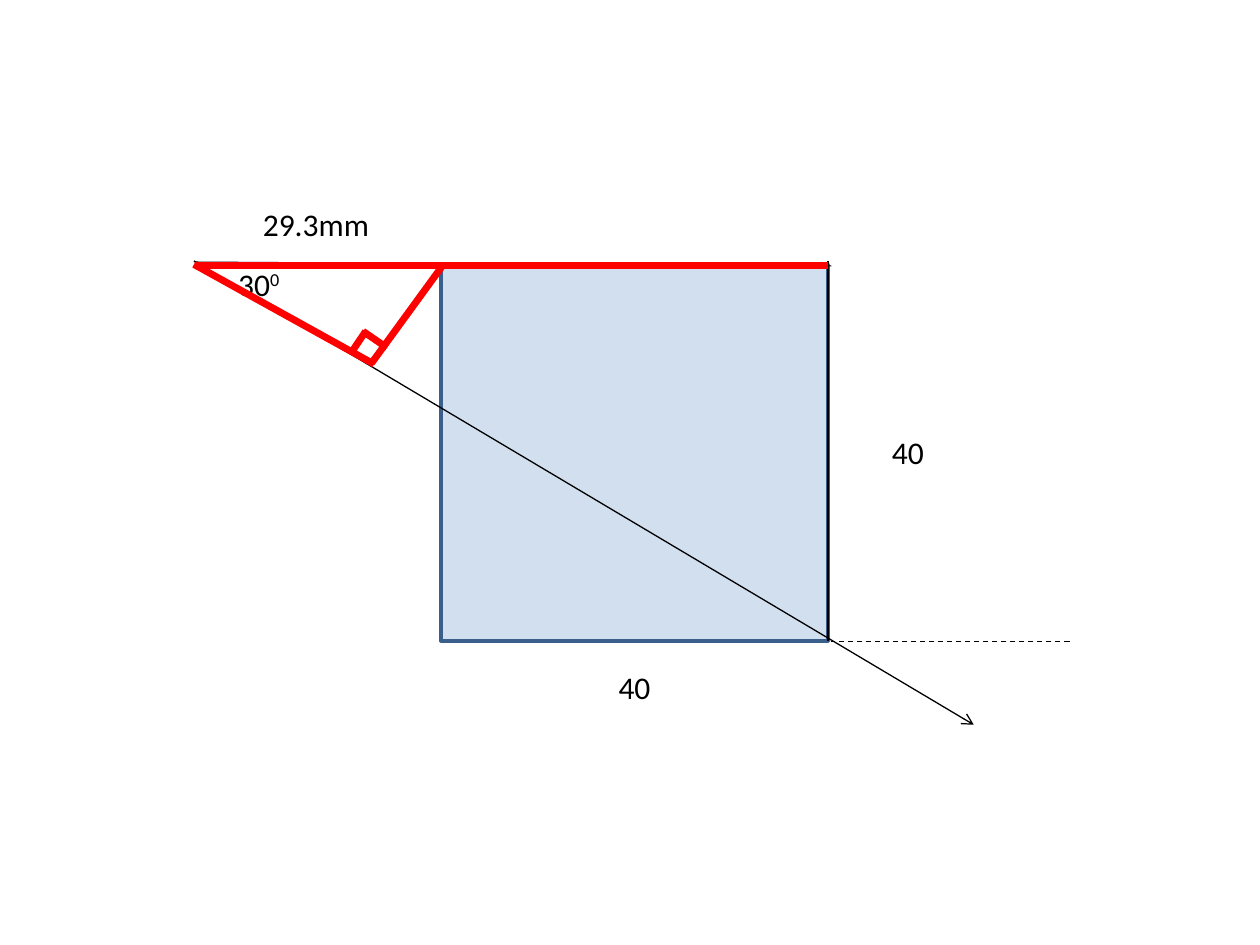
from dataclasses import dataclass

from lxml.etree import SubElement
from pptx import Presentation
from pptx.dml.color import RGBColor
from pptx.enum.dml import MSO_LINE
from pptx.enum.shapes import MSO_CONNECTOR, MSO_SHAPE
from pptx.enum.text import MSO_AUTO_SIZE
from pptx.oxml.ns import qn
from pptx.util import Cm, Pt


@dataclass(frozen=True)
class Theme:
    """Colours, font and sizes of the diagram."""
    ink: RGBColor = RGBColor(0x00, 0x00, 0x00)
    highlight: RGBColor = RGBColor(0xFF, 0x00, 0x00)
    square_fill: RGBColor = RGBColor(0x4F, 0x81, 0xBD)
    square_edge: RGBColor = RGBColor(0x3A, 0x5F, 0x8C)
    square_opacity: int = 25
    font: str = "Calibri"
    label_size: Pt = Pt(18)
    hairline: Pt = Pt(0.5)
    thin: Pt = Pt(0.75)
    edge: Pt = Pt(2)
    bold: Pt = Pt(4)


THEME = Theme()


def add_line(slide, origin, start, end, color=THEME.ink, width=THEME.thin):
    """Draw a straight line between two points in cm from the origin."""
    left, top = origin
    line = slide.shapes.add_connector(
        MSO_CONNECTOR.STRAIGHT,
        Cm(left + start[0]), Cm(top + start[1]),
        Cm(left + end[0]), Cm(top + end[1]))
    line.line.color.rgb = color
    line.line.width = width
    SubElement(line._element.spPr, qn("a:effectLst"))
    return line


def add_label(slide, origin, offset, width, text, superscript=""):
    """Write a one-line label, with an optional raised ending."""
    label = slide.shapes.add_textbox(
        Cm(origin[0] + offset[0]), Cm(origin[1] + offset[1]), Cm(width), Cm(1.02))
    frame = label.text_frame
    frame.word_wrap = False
    frame.auto_size = MSO_AUTO_SIZE.SHAPE_TO_FIT_TEXT
    paragraph = frame.paragraphs[0]
    paragraph.font.name = THEME.font
    paragraph.font.size = THEME.label_size
    paragraph.font.color.rgb = THEME.ink
    paragraph.add_run().text = text
    if superscript:
        raised = paragraph.add_run()
        raised.text = superscript
        raised.font._element.set("baseline", "30000")


def draw_square(slide, origin):
    """Draw the translucent square with its right side and two lengths."""
    left, top = origin
    square = slide.shapes.add_shape(
        MSO_SHAPE.RECTANGLE, Cm(left + 4.98), Cm(top - 0.03), Cm(7.8), Cm(7.59))
    square.shadow.inherit = False
    square.fill.solid()
    square.fill.fore_color.rgb = THEME.square_fill
    color = square._element.spPr.find(qn("a:solidFill"))[0]
    SubElement(color, qn("a:alpha"), val=str(THEME.square_opacity * 1000))
    square.line.color.rgb = THEME.square_edge
    square.line.width = THEME.edge
    add_line(slide, origin, (12.78, -0.1), (12.78, 7.57))
    add_label(slide, origin, (8.31, 7.98), 1.17, "40")
    add_label(slide, origin, (13.82, 3.25), 1.17, "40")


def draw_rays(slide, origin):
    """Draw the horizontal guides and the arrow through the far corner."""
    add_line(slide, origin, (12.85, 0), (0, -0.08), width=THEME.hairline)
    ray = add_line(slide, origin, (0, -0.1), (15.72, 9.25))
    SubElement(ray.line._get_or_add_ln(), qn("a:tailEnd"), type="arrow")
    guide = add_line(slide, origin, (17.65, 7.57), (12.85, 7.57))
    guide.line.dash_style = MSO_LINE.DASH


def draw_triangle(slide, origin):
    """Draw the red right triangle, its extended base and its measures."""
    add_label(slide, origin, (0.64, -0.15), 1.52, "30", "0")
    add_label(slide, origin, (1.14, -1.35), 2.67, "29.3mm")
    altitude = (5.03, -0.03), (3.58, 1.96)
    corner_mark = [((3.89, 1.65), (3.41, 1.32)), ((3.46, 1.32), (3.15, 1.78))]
    long_leg = (3.63, 1.98), (0, -0.03)
    base = (4.98, 0), (0.03, 0)
    base_extension = (12.78, 0), (4.98, 0)
    for start, end in [altitude, *corner_mark, long_leg, base, base_extension]:
        add_line(slide, origin, start, end, THEME.highlight, THEME.bold)


def main():
    """Build the one-slide presentation."""
    presentation = Presentation()
    presentation.slide_width = Cm(25.4)
    presentation.slide_height = Cm(19.05)
    slide = presentation.slides.add_slide(presentation.slide_layouts[6])
    apex = 3.91, 5.36
    draw_square(slide, apex)
    draw_rays(slide, apex)
    draw_triangle(slide, apex)
    presentation.save("out.pptx")


if __name__ == "__main__":
    main()
